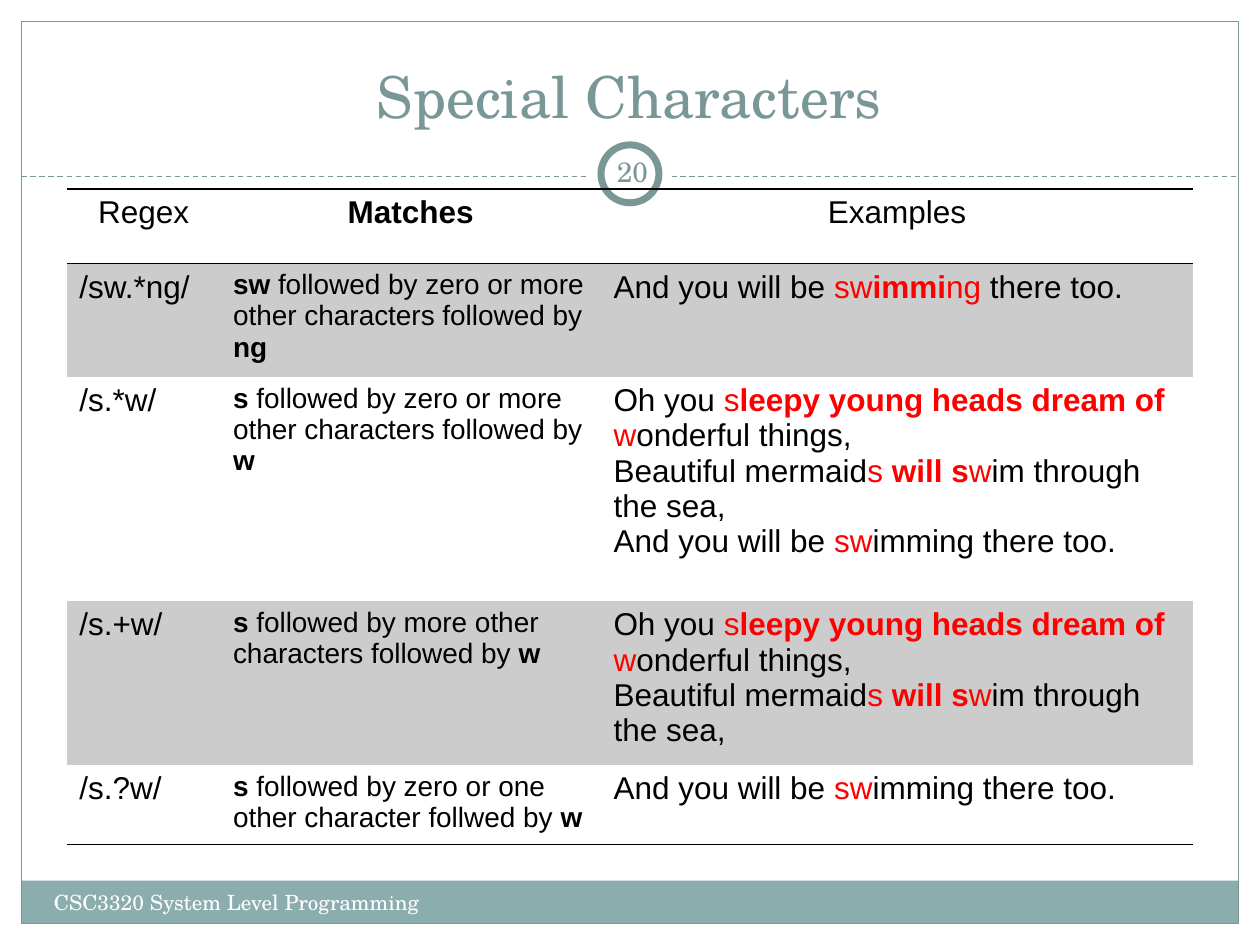
from lxml import etree
from pptx import Presentation
from pptx import util as u
from pptx.dml import color
from pptx.enum import dml, shapes, text
from pptx.oxml import ns

COLORS = {"teal": "7A9798", "band": "8CADAE", "white": "FFFFFF",
          "black": "000000", "red": "FF0000", "stripe": "CCCCCC"}
SERIF, SANS = "TeX Gyre Schola", "Arial"
CENTER = text.PP_ALIGN.CENTER

# Run styles: "" plain, "b" bold, "r" red, "rb" red and bold
SLEEPY = [("Oh you ", ""), ("s", "r"), ("leepy young heads dream of ", "rb"),
          ("w", "r"), ("onderful things,", "")]
MERMAIDS = [("Beautiful mermaid", ""), ("s", "r"), (" will s", "rb"),
            ("w", "r"), ("im through the sea,", "")]
SWIMMING = [("And you will be ", ""), ("sw", "r"), ("imming there too.", "")]
SWIMMING_ALL = [("And you will be ", ""), ("sw", "r"), ("immi", "rb"),
                ("ng", "r"), (" there too.", "")]

# Each cell is a list of paragraphs, each paragraph a list of runs
REGEX_ROWS = [
    [[[("Regex", "")]], [[("Matches", "b")]], [[("Examples", "")]]],
    [[[("/sw.*ng/", "")]],
     [[("sw", "b"), (" followed by zero or more other characters followed by ", ""),
       ("ng", "b")]],
     [SWIMMING_ALL]],
    [[[("/s.*w/", "")]],
     [[("s", "b"), (" followed by zero or more other characters followed by ", ""),
       ("w ", "b")]],
     [SLEEPY, MERMAIDS, SWIMMING]],
    [[[("/s.+w/", "")]],
     [[("s", "b"), (" followed by more other characters followed by ", ""),
       ("w ", "b")]],
     [SLEEPY, MERMAIDS]],
    [[[("/s.?w/", "")]],
     [[("s ", "b"), ("followed by zero or one other character follwed by ", ""),
       ("w", "b")]],
     [SWIMMING]],
]
COLUMN_WIDTHS = [1.22, 3.02, 4.7]
COLUMN_SIZES = [18, 16, 18]
ROW_HEIGHTS = [0.59, 0.84, 1.78, 1.22, 0.6]


def rgb(name):
    """Return the named colour."""
    return color.RGBColor.from_string(COLORS[name])


def inches(*lengths):
    """Turn numbers into lengths."""
    return [u.Inches(length) for length in lengths]


def apply(target, values):
    """Set each attribute of target from a dict."""
    for name, value in values.items():
        setattr(target, name, value)


def add_run(paragraph, words, ink, **font):
    """Append a run in the given colour and font."""
    run = paragraph.add_run()
    run.text = words
    apply(run.font, font)
    run.font.color.rgb = rgb(ink)


def add_label(slide, box, words, size, ink, align, anchor, margin=0.1):
    """Place one line of serif text in a box."""
    frame = slide.shapes.add_textbox(*inches(*box)).text_frame
    apply(frame, {"word_wrap": True, "vertical_anchor": anchor,
                  "margin_left": u.Inches(margin), "margin_right": u.Inches(margin)})
    frame.paragraphs[0].alignment = align
    add_run(frame.paragraphs[0], words, ink, name=SERIF, size=u.Pt(size))


def add_figure(slide, kind, box, fill=None, line=None, width=0.75):
    """Place a preset shape with an optional fill and outline."""
    figure = slide.shapes.add_shape(kind, *inches(*box))
    figure.shadow.inherit = False
    for part, ink in ((figure.fill, fill), (figure.line.fill, line)):
        if ink:
            part.solid()
            part.fore_color.rgb = rgb(ink)
        else:
            part.background()
    if line:
        figure.line.width = u.Pt(width)


def add_frame(slide, left, top, width, height):
    """Draw the page border with the footer band along its bottom."""
    rect, band = shapes.MSO_SHAPE.RECTANGLE, 0.34
    bottom = top + height - band
    add_figure(slide, rect, (left, bottom, width, band), fill="band")
    add_figure(slide, rect, (left, top, width, height), line="teal")
    add_label(slide, (left + 0.16, bottom + 0.02, 3.92, 0.4),
              "CSC3320 System Level Programming", 12, "white",
              text.PP_ALIGN.LEFT, text.MSO_ANCHOR.TOP)


def add_header(slide, left, top, width):
    """Draw the title, the dashed rule and the ringed page number."""
    add_label(slide, (left + 0.16, top + 0.08, width - 0.33, 0.83),
              "Special Characters", 33, "teal", CENTER, text.MSO_ANCHOR.BOTTOM)
    rule = slide.shapes.add_connector(
        shapes.MSO_CONNECTOR.STRAIGHT,
        *inches(left, top + 1.23, left + width, top + 1.23))
    apply(rule.line, {"width": u.Pt(0.75), "dash_style": dml.MSO_LINE.DASH})
    rule.line.color.rgb = rgb("teal")
    etree.SubElement(rule.element.spPr, ns.qn("a:effectLst"))

    middle, ring_middle = left + width / 2, top + 1.21
    for size, line in ((0.67, None), (0.46, "teal")):
        add_figure(slide, shapes.MSO_SHAPE.OVAL,
                   (middle - size / 2, ring_middle - size / 2, size, size),
                   fill="white", line=line, width=4)
    add_label(slide, (middle - 0.23, top + 0.95, 0.5, 0.48), "20", 16, "teal",
              CENTER, text.MSO_ANCHOR.MIDDLE, margin=0.05)


def set_borders(cell, ruled):
    """Rule the sides of a cell named in ruled and clear the others."""
    properties = cell._tc.get_or_add_tcPr()
    for side in "LRTB":
        border = etree.SubElement(properties, ns.qn("a:ln" + side), w=str(u.Pt(1)))
        if side in ruled:
            fill = etree.SubElement(border, ns.qn("a:solidFill"))
            etree.SubElement(fill, ns.qn("a:srgbClr"), val=COLORS["black"])
        else:
            etree.SubElement(border, ns.qn("a:noFill"))


def fill_cell(cell, paragraphs, size, align):
    """Write the styled paragraphs of one cell."""
    frame = cell.text_frame
    for index, runs in enumerate(paragraphs):
        paragraph = frame.add_paragraph() if index else frame.paragraphs[0]
        paragraph.alignment = align
        for words, style in runs:
            add_run(paragraph, words, "red" if "r" in style else "black",
                    name=SANS, size=u.Pt(size), bold="b" in style)


def add_regex_table(slide, left, top):
    """Place the table of patterns, meanings and examples."""
    table = slide.shapes.add_table(
        len(ROW_HEIGHTS), len(COLUMN_WIDTHS),
        *inches(left, top, sum(COLUMN_WIDTHS), sum(ROW_HEIGHTS))).table
    apply(table, {"first_row": False, "horz_banding": False})
    for column, width in zip(table.columns, COLUMN_WIDTHS):
        column.width = u.Inches(width)
    last = len(REGEX_ROWS) - 1
    for r, entries in enumerate(REGEX_ROWS):
        table.rows[r].height = u.Inches(ROW_HEIGHTS[r])
        ruled = {0: "TB", 1: "T", last: "B"}.get(r, "")
        for c, paragraphs in enumerate(entries):
            cell = table.cell(r, c)
            set_borders(cell, ruled)
            if r % 2:
                cell.fill.solid()
                cell.fill.fore_color.rgb = rgb("stripe")
            else:
                cell.fill.background()
            fill_cell(cell, paragraphs, COLUMN_SIZES[c] if r else 18,
                      text.PP_ALIGN.LEFT if r else CENTER)


def build():
    """Build and save the slide."""
    deck = Presentation()
    apply(deck, {"slide_width": u.Inches(10), "slide_height": u.Inches(7.5)})
    slide = deck.slides.add_slide(deck.slide_layouts[6])
    add_frame(slide, 0.17, 0.17, 9.66, 7.16)
    add_header(slide, 0.17, 0.17, 9.66)
    add_regex_table(slide, 0.53, 1.5)
    deck.save("out.pptx")


build()
